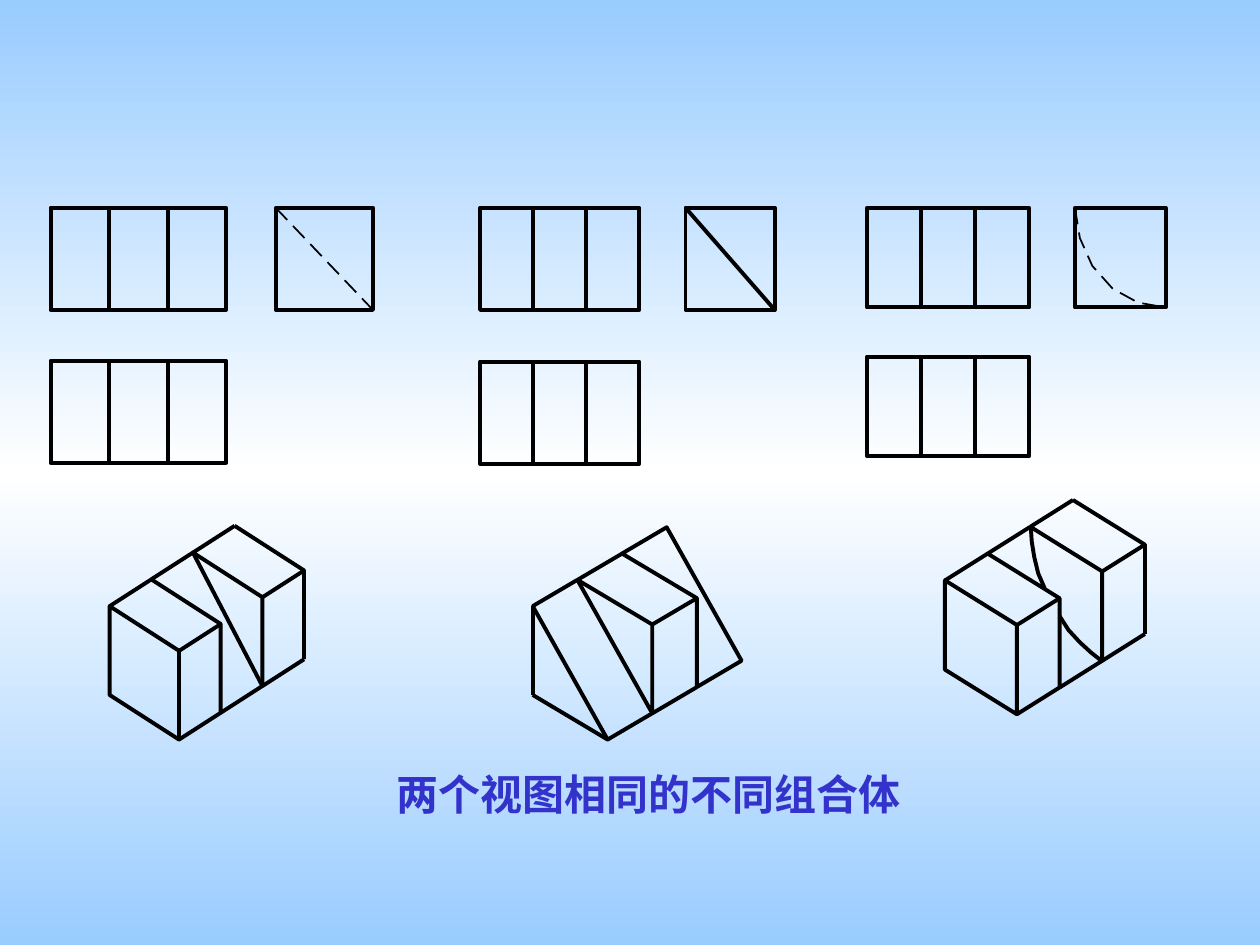
from copy import deepcopy
from dataclasses import dataclass

from lxml.etree import SubElement as Sub
from pptx import Presentation as Deck
from pptx.dml.color import RGBColor as Rgb
from pptx.enum.shapes import MSO_CONNECTOR as Link, MSO_SHAPE as Kind
from pptx.enum.text import PP_ALIGN as Align
from pptx.oxml.ns import qn
from pptx.util import Cm, Pt

Point = tuple[float, float]
INK = "000000"
THICK, THIN = 2.25, 1
TOP = 4.19


@dataclass
class Views:
    left: float
    step: float
    high: float
    low: float
    side: float
    wide: float
    trace: list[Point]
    dash: bool


@dataclass
class Solid:
    start: Point
    width: Point
    depth: Point
    high: float
    edges: list[str]

    def point(self, code: str) -> Point:
        a, b, c = map(int, code)
        return (
            self.start[0] + a * self.width[0] + b * self.depth[0],
            self.start[1] + a * self.width[1] + b * self.depth[1] + c * self.high,
        )


VIEWS = [
    Views(1.02, 1.18, 2.06, 7.27, 5.56, 1.96, [(5.56, 4.19), (7.52, 6.25)], True),
    Views(9.68, 1.07, 2.06, 7.29, 13.82, 1.8, [(13.82, 4.19), (15.62, 6.25)], False),
    Views(17.48, 1.09, 2.01, 7.19, 21.67, 1.83,
          [(21.67, 4.19), (21.77, 4.8), (22.02, 5.36), (22.43, 5.82),
           (22.94, 6.1), (23.5, 6.2)], True),
]

SOLIDS = [
    Solid((2.21, 12.22), (1.4, 0.9), (0.84, -0.54), 1.79, [
        "120 130", "020 030", "121 131", "030 130 131", "020 120 121",
        "010 020 121 111 101", "000 010", "100 110",
        "101 001 000 100 101", "111 110 010"]),
    Solid((10.74, 12.22), (1.51, 0.9), (0.9, -0.53), 1.79, [
        "001 101 111", "101 000 010", "001 000", "111 121", "010 020",
        "120 110 010", "110 111 010", "121 120 020 030 131 121"]),
    Solid((19.05, 11.7), (1.45, 0.9), (0.86, -0.54), 1.8, [
        "100 110", "000 010", "101 111 110 010", "101 001 000 100 101",
        "121 111", "020 010", "121 131", "020 030", "120 130 030",
        "130 131", "020 120 121"]),
]

ARCS = [
    [(20.78, 10.62), (20.8, 10.92), (20.85, 11.23), (20.93, 11.56), (21.06, 11.86)],
    [(21.36, 12.42), (21.54, 12.7), (21.77, 12.95), (22, 13.16), (22.23, 13.34)],
]


def tint(color, code: str) -> None:
    color.rgb = Rgb.from_string(code)


def ink(line, size: float) -> None:
    tint(line.color, INK)
    line.width = Pt(size)


def box(slide, x: float, y: float, w: float, h: float) -> None:
    shape = slide.shapes.add_shape(Kind.RECTANGLE, Cm(x), Cm(y), Cm(w), Cm(h))
    shape.fill.background()
    shape.shadow.inherit = False
    ink(shape.line, THICK)


def stroke(slide, points: list[Point], dash: bool = False) -> None:
    spots = [(Cm(x), Cm(y)) for x, y in points]
    size = THIN if dash else THICK
    if len(spots) == 2:
        shape = slide.shapes.add_connector(Link.STRAIGHT, *spots[0], *spots[1])
        ink(shape.line, size)
        Sub(shape.element.spPr, qn("a:effectLst"))
    else:
        loop = spots[0] == spots[-1]
        pen = slide.shapes.build_freeform(*spots[0], scale=1.0)
        pen.add_line_segments(spots[1:-1] if loop else spots[1:], close=loop)
        shape = pen.convert_to_shape()
        shape.fill.background()
        shape.shadow.inherit = False
        ink(shape.line, size)
    if dash:
        rule = Sub(shape.element.spPr.find(qn("a:ln")), qn("a:custDash"))
        Sub(rule, qn("a:ds"), d="960000", sp="480000")


def draw_views(slide, views: Views) -> None:
    for y in (TOP, views.low):
        for col in range(3):
            box(slide, views.left + col * views.step, y, views.step, views.high)
    box(slide, views.side, TOP, views.wide, views.high)
    stroke(slide, views.trace, views.dash)


def draw_solid(slide, solid: Solid) -> None:
    for edge in solid.edges:
        stroke(slide, [solid.point(code) for code in edge.split()])


def paint(slide) -> None:
    fill = slide.background.fill
    fill.gradient()
    fill.gradient_angle = 90
    stops = next(slide.element.iter(qn("a:gsLst")))
    mid = deepcopy(stops[0])
    mid.set("pos", "50000")
    stops.insert(1, mid)
    for stop, code in zip(fill.gradient_stops, ("99CCFF", "FFFFFF", "99CCFF")):
        tint(stop.color, code)


def label(slide, text: str) -> None:
    frame = slide.shapes.add_textbox(Cm(6.27), Cm(15.37), Cm(13.59), Cm(1.27)).text_frame
    frame.word_wrap = True
    para = frame.paragraphs[0]
    para.alignment = Align.CENTER
    run = para.add_run()
    run.text = text
    run.font.name = "Times New Roman"
    run.font.size = Pt(24)
    run.font.bold = True
    tint(run.font.color, "3333CC")


def main() -> None:
    deck = Deck()
    deck.slide_width, deck.slide_height = Cm(25.4), Cm(19.05)
    slide = deck.slides.add_slide(deck.slide_layouts[6])
    paint(slide)
    for views in VIEWS:
        draw_views(slide, views)
    for solid in SOLIDS:
        draw_solid(slide, solid)
    for arc in ARCS:
        stroke(slide, arc)
    label(slide, "两个视图相同的不同组合体")
    deck.save("out.pptx")


if __name__ == "__main__":
    main()
